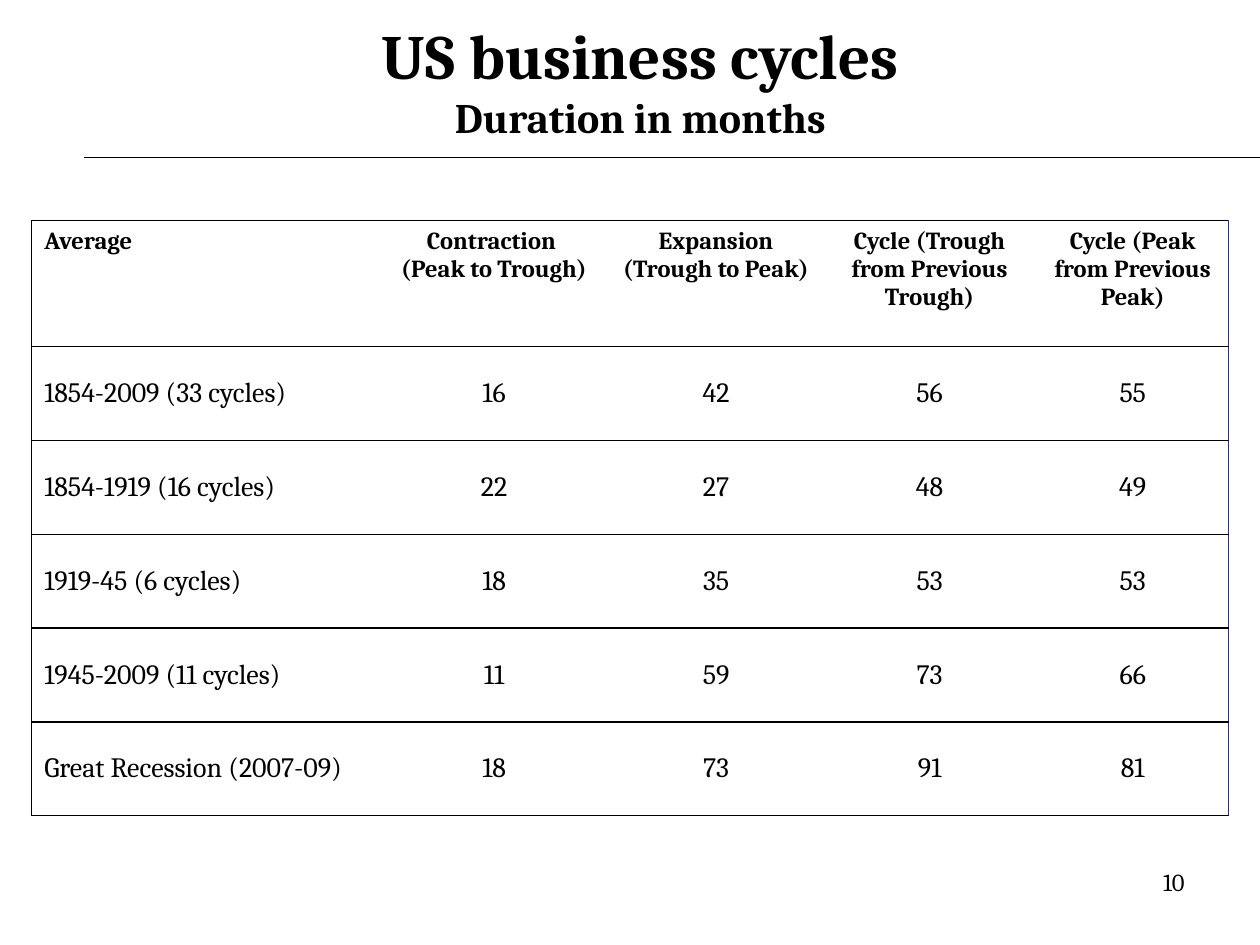
from lxml import etree
from pptx import Presentation
from pptx.dml.color import RGBColor
from pptx.enum.shapes import MSO_CONNECTOR
from pptx.enum.text import MSO_ANCHOR, PP_ALIGN
from pptx.oxml.ns import qn
from pptx.util import Cm, Pt

BLACK = "000000"
WHITE = "FFFFFF"
RIGHT_EDGE = "2D2D8A"
PLAIN_TABLE_STYLE = "{2D5ABB26-0587-4C30-8999-92F81FD0307C}"

HEADINGS = [
    "Average",
    "Contraction \v(Peak to Trough)",
    "Expansion (Trough to Peak)",
    "Cycle (Trough from Previous Trough)",
    "Cycle (Peak from Previous Peak)",
]
PERIODS = [
    ("1854-2009 (33 cycles)", 16, 42, 56, 55),
    ("1854-1919 (16 cycles)", 22, 27, 48, 49),
    ("1919-45 (6 cycles)", 18, 35, 53, 53),
    ("1945-2009 (11 cycles)", 11, 59, 73, 66),
    ("Great Recession (2007-09)", 18, 73, 91, 81),
]
COLUMN_WIDTHS = [6.99, 4.66, 4.29, 4.32, 3.87]
HEADER_HEIGHT = 2.54
ROW_HEIGHT = 1.89

TITLE_FORMAT = {"name": "Cambria", "size": Pt(36), "bold": True}
SUBTITLE_FORMAT = {"name": "Cambria", "size": Pt(24), "bold": True}
HEADING_FORMAT = {"name": "Cambria", "size": Pt(14), "bold": True}
BODY_FORMAT = {"name": "Cambria", "size": Pt(16), "bold": False}
NUMBER_FORMAT = {"name": "Cambria", "size": Pt(14), "bold": False}


def color(hex_string):
    return RGBColor.from_string(hex_string)


def format_font(font, values):
    for name, value in values.items():
        setattr(font, name, value)
    font.color.rgb = color(BLACK)


def add_text_box(slide, box, anchor, alignment):
    """Add an empty wrapping text box and return its first paragraph."""
    shape = slide.shapes.add_textbox(*(Cm(length) for length in box))
    shape.text_frame.word_wrap = True
    shape.text_frame.vertical_anchor = anchor
    paragraph = shape.text_frame.paragraphs[0]
    paragraph.alignment = alignment
    return paragraph


def add_run(paragraph, text, values):
    run = paragraph.add_run()
    run.text = text
    format_font(run.font, values)


def add_title(slide, box):
    paragraph = add_text_box(slide, box, MSO_ANCHOR.MIDDLE, PP_ALIGN.CENTER)
    add_run(paragraph, "US business cycles", TITLE_FORMAT)
    paragraph.add_line_break()
    add_run(paragraph, "Duration in months", SUBTITLE_FORMAT)


def add_rule(slide, left, right, top):
    line = slide.shapes.add_connector(
        MSO_CONNECTOR.STRAIGHT, Cm(left), Cm(top), Cm(right), Cm(top))
    line.line.color.rgb = color(BLACK)
    line.line.width = Pt(0.75)
    etree.SubElement(line._element.spPr, qn("a:effectLst"))


def set_borders(cell, borders):
    """Draw the given sides; a side without a colour stays empty."""
    properties = cell._tc.get_or_add_tcPr()
    for side in ("lnL", "lnR", "lnT", "lnB"):
        border = etree.SubElement(properties, qn(f"a:{side}"), w=str(Pt(1)))
        if side in borders:
            fill = etree.SubElement(border, qn("a:solidFill"))
            etree.SubElement(fill, qn("a:srgbClr"), val=borders[side])
        else:
            etree.SubElement(border, qn("a:noFill"))


def fill_cell(cell, text, values, anchor, alignment, borders):
    cell.text = text
    cell.vertical_anchor = anchor
    for paragraph in cell.text_frame.paragraphs:
        paragraph.alignment = alignment
        for run in paragraph.runs:
            format_font(run.font, values)
    set_borders(cell, borders)
    cell.fill.solid()
    cell.fill.fore_color.rgb = color(WHITE)


def add_cycle_table(slide, left, top):
    rows = [HEADINGS, *PERIODS]
    heights = [HEADER_HEIGHT] + [ROW_HEIGHT] * len(PERIODS)
    table = slide.shapes.add_table(
        len(rows), len(HEADINGS), Cm(left), Cm(top),
        Cm(sum(COLUMN_WIDTHS)), Cm(sum(heights))).table
    table._tbl.tblPr.find(qn("a:tableStyleId")).text = PLAIN_TABLE_STYLE
    table.horz_banding = False

    for column, width in zip(table.columns, COLUMN_WIDTHS):
        column.width = Cm(width)
    for row, height in zip(table.rows, heights):
        row.height = Cm(height)

    last_column = len(HEADINGS) - 1
    for row_index, row in enumerate(rows):
        is_header = row_index == 0
        values = HEADING_FORMAT if is_header else BODY_FORMAT
        anchor = MSO_ANCHOR.TOP if is_header else MSO_ANCHOR.MIDDLE
        for column_index, value in enumerate(row):
            borders = {"lnT": BLACK, "lnB": BLACK}
            if column_index == 0:
                borders["lnL"] = BLACK
            if column_index == last_column:
                borders["lnR"] = RIGHT_EDGE
            alignment = PP_ALIGN.CENTER if column_index else PP_ALIGN.LEFT
            fill_cell(table.cell(row_index, column_index), str(value),
                      values, anchor, alignment, borders)


def add_page_number(slide, box):
    paragraph = add_text_box(slide, box, MSO_ANCHOR.TOP, PP_ALIGN.RIGHT)
    add_run(paragraph, "10", NUMBER_FORMAT)


def main():
    presentation = Presentation()
    presentation.slide_width = Cm(25.4)
    presentation.slide_height = Cm(19.05)
    slide = presentation.slides.add_slide(presentation.slide_layouts[6])

    # Heading
    add_rule(slide, 1.7, 25.4, 3.17)
    add_title(slide, (1.48, 0.43, 22.86, 2.34))
    # Durations by period
    add_cycle_table(slide, 0.64, 4.45)
    # Footer
    add_page_number(slide, (18.2, 17.35, 5.93, 1.32))

    presentation.save("out.pptx")


if __name__ == "__main__":
    main()
